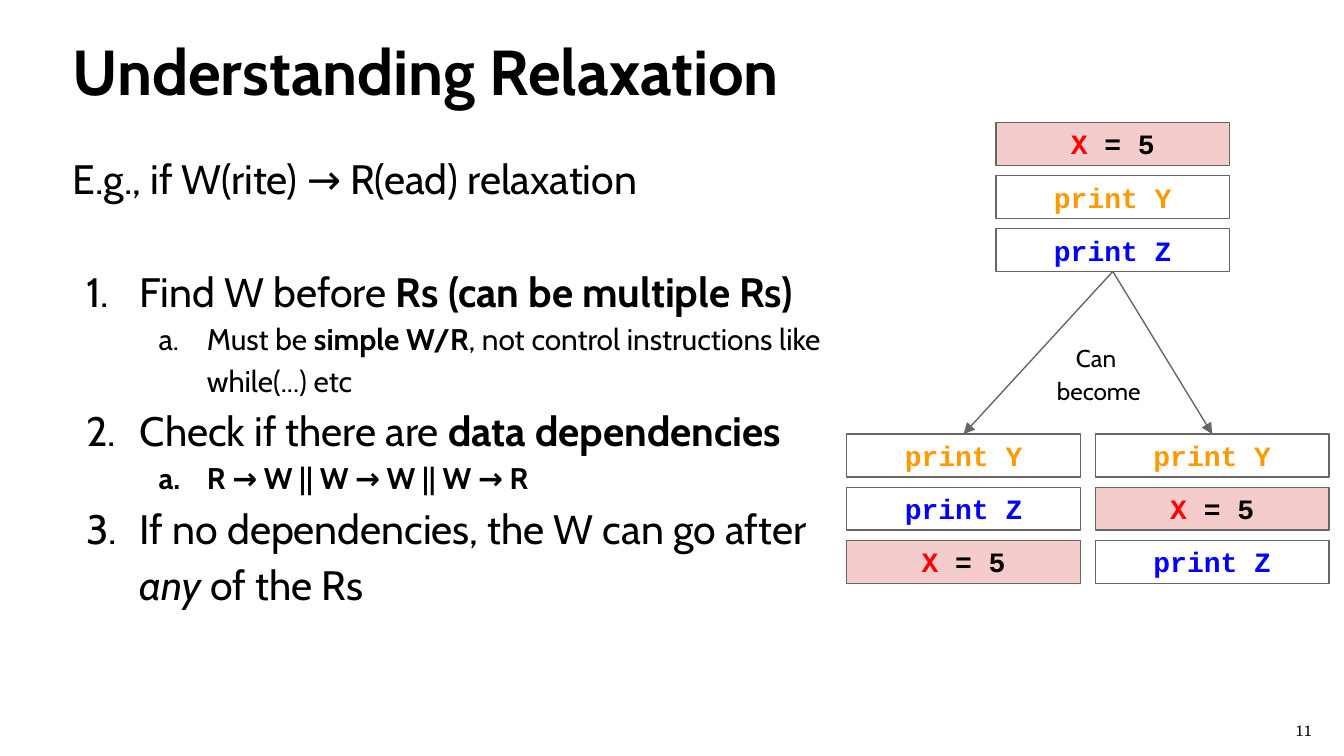
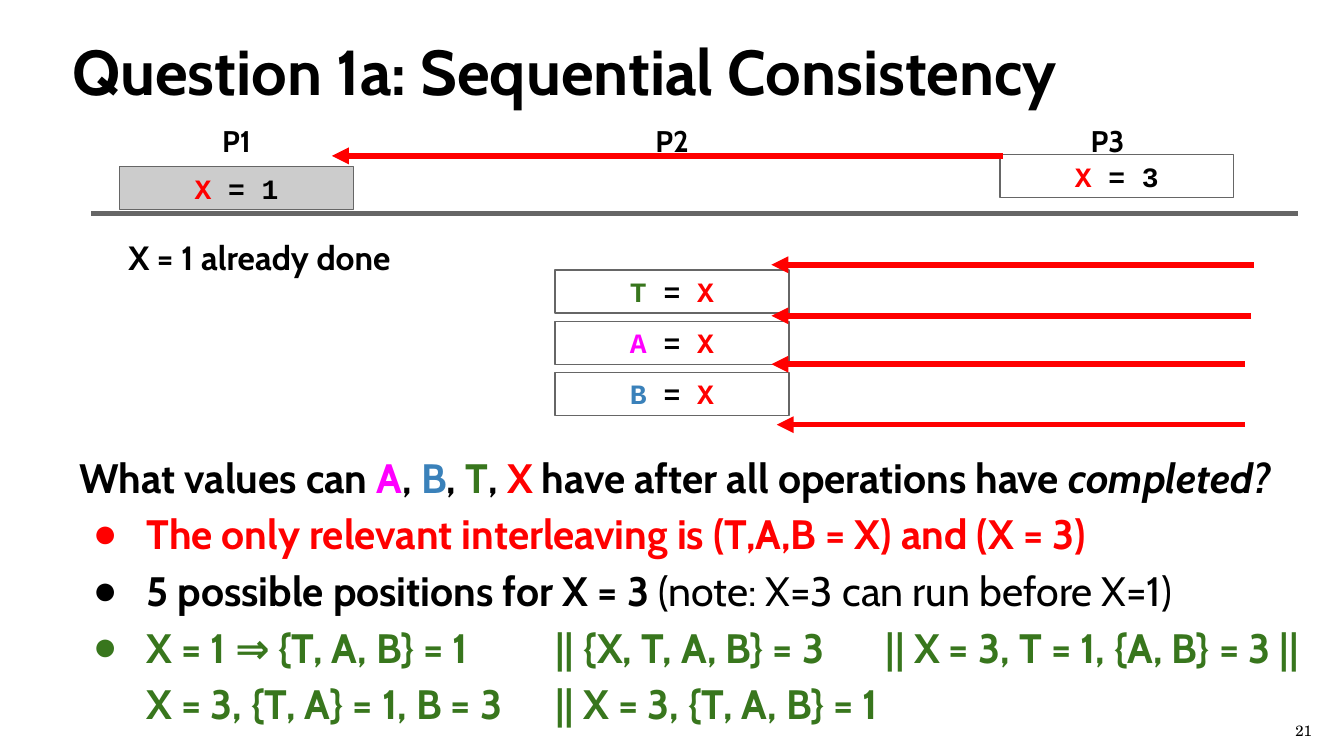
from lxml import etree
from pptx import Presentation
from pptx.dml.color import RGBColor
from pptx.enum.shapes import MSO_CONNECTOR, MSO_SHAPE
from pptx.enum.text import MSO_ANCHOR, MSO_AUTO_SIZE, PP_ALIGN
from pptx.oxml.ns import qn
from pptx.util import Pt

PX = 9144  # 100 px to the inch
STRAIGHT = MSO_CONNECTOR.STRAIGHT
RECT = MSO_SHAPE.RECTANGLE
CENTER, LEFT = PP_ALIGN.CENTER, PP_ALIGN.LEFT
TOP, MIDDLE = MSO_ANCHOR.TOP, MSO_ANCHOR.MIDDLE
NO_FIT = MSO_AUTO_SIZE.NONE
BODY_FONT, CODE_FONT, NUMBER_FONT = "Cabin", "Courier New", "TeX Gyre Schola"

BLACK, WHITE, GRAY = "000000", "FFFFFF", "666666"
RED, GREEN, MAGENTA, BLUE = "FF0000", "38761D", "FF00FF", "3A81BA"
ORANGE, PURE_BLUE, PINK, SILVER = "FF9900", "0000FF", "F4CCCC", "CCCCCC"
BOX_W, BOX_H = 174, 32
rgb = RGBColor.from_string


def write(p, size, runs, font=BODY_FONT):
    """Add runs of (text, colour, style); style may hold b and i, "\\n" breaks the line."""
    for text, color, style in runs:
        if text == "\n":
            p.add_line_break()
            continue
        r = p.add_run()
        r.text = text
        r.font.name, r.font.size = font, Pt(size)
        r.font.color.rgb = rgb(color)
        r.font.bold, r.font.italic = "b" in style, "i" in style


def set_bullet(p, mark, color, left, hang, tabs=()):
    """Indent p by left, hang its bullet; mark is a character, a numbering type or None."""
    pPr = p._p.get_or_add_pPr()
    pPr.set("marL", str(left * PX))
    pPr.set("indent", str(-hang * PX))
    if mark is None:
        etree.SubElement(pPr, qn("a:buNone"))
    else:
        clr = etree.SubElement(pPr, qn("a:buClr"))
        etree.SubElement(clr, qn("a:srgbClr"), val=color)
        if len(mark) == 1:
            etree.SubElement(pPr, qn("a:buChar"), char=mark)
        else:
            etree.SubElement(pPr, qn("a:buAutoNum"), type=mark)
    if tabs:
        stops = etree.SubElement(pPr, qn("a:tabLst"))
        for pos in tabs:
            etree.SubElement(stops, qn("a:tab"), pos=str(pos * PX), algn="l")


prs = Presentation()
prs.slide_width = 1000 * PX
prs.slide_height = prs.slide_width * 9 // 16

# Titles, lists and page numbers. A list item: mark, level, size, space after, runs
NUMBER, LETTER, DOT = "arabicPeriod", "alphaLcPeriod", "●"
relaxation_items = [
    (None, 0, 22, 30, [("E.g., if W(rite) → R(ead) relaxation", BLACK, "")]),
    (NUMBER, 0, 22, 0, [("Find W before ", BLACK, ""),
                        ("Rs (can be multiple Rs)", BLACK, "b")]),
    (LETTER, 1, 16, 0, [("Must be ", BLACK, ""), ("simple W/R", BLACK, "b"),
                        (", not control instructions like while(...) etc", BLACK, "")]),
    (NUMBER, 0, 22, 0, [("Check if there are ", BLACK, ""),
                        ("data dependencies", BLACK, "b")]),
    (LETTER, 1, 16, 0, [("R → W || W → W || W → R", BLACK, "b")]),
    (NUMBER, 0, 22, 0, [("If no dependencies, the W can go after ", BLACK, ""),
                        ("any", BLACK, "i"), (" of the Rs", BLACK, "")]),
]
question_items = [
    (None, 0, 22, 0, [("What values can ", BLACK, "b"), ("A", MAGENTA, "b"),
                      (", ", BLACK, "b"), ("B", BLUE, "b"), (", ", BLACK, "b"),
                      ("T", GREEN, "b"), (", ", BLACK, "b"), ("X", RED, "b"),
                      (" have after all operations have ", BLACK, "b"),
                      ("completed?", BLACK, "bi")]),
    (DOT, 0, 22, 0, [("The only relevant interleaving is (T,A,B = X) and (X = 3)", RED, "b")]),
    (DOT, 0, 22, 0, [("5 possible positions for X = 3 ", BLACK, "b"),
                     ("(note: X=3 can run before X=1)", BLACK, "")]),
    (DOT, 0, 22, 0, [("X = 1 ⇒ {T, A, B} = 1\t|| {X, T, A, B} = 3\t"
                      "|| X = 3, T = 1, {A, B} = 3 ||", GREEN, "b"),
                     ("\n", GREEN, "b"),
                     ("X = 3, {T, A} = 1, B = 3\t|| X = 3, {T, A, B} = 1", GREEN, "b")]),
]
slides = []
for title, number, (x, y, w, h), items in [
    ("Understanding Relaxation", "11", (44, 99, 597, 377), relaxation_items),
    ("Question 1a: Sequential Consistency", "21", (49, 321, 951, 233), question_items),
]:
    s = prs.slides.add_slide(prs.slide_layouts[1])
    slides.append(s)
    heading, body = s.shapes.title, s.placeholders[1]
    page = s.shapes.add_textbox(940 * PX, 528 * PX, 60 * PX, 31 * PX)
    heading.left, heading.top, heading.width, heading.height = 44 * PX, 14 * PX, 822 * PX, 70 * PX
    body.left, body.top, body.width, body.height = x * PX, y * PX, w * PX, h * PX
    for sp, anchor in [(heading, TOP), (body, TOP), (page, MIDDLE)]:
        tf = sp.text_frame
        tf.word_wrap, tf.auto_size, tf.vertical_anchor = True, NO_FIT, anchor
        tf.margin_left = tf.margin_right = tf.margin_top = tf.margin_bottom = 10 * PX

    p = heading.text_frame.paragraphs[0]
    p.alignment = LEFT
    write(p, 34, [(title, BLACK, "b")])
    p = page.text_frame.paragraphs[0]
    p.alignment = CENTER
    write(p, 8, [(number, BLACK, "")], NUMBER_FONT)

    tf = body.text_frame
    for i, (mark, level, size, after, runs) in enumerate(items):
        p = tf.add_paragraph() if i else tf.paragraphs[0]
        p.level, p.line_spacing = level, 1.15
        p.space_before, p.space_after = Pt(0), Pt(after)
        left, hang = (0, 0) if mark is None else [(50, 40), (100, 36)][level]
        tabs = (354, 600) if "\t" in runs[0][0] else ()
        set_bullet(p, mark, runs[0][1], left, hang, tabs)
        write(p, size, runs)

relaxation, question = slides

# Instruction boxes
x_5 = (PINK, [("X", RED, "b"), (" = 5", BLACK, "b")])
print_y = (WHITE, [("print Y", ORANGE, "b")])
print_z = (WHITE, [("print Z", PURE_BLUE, "b")])
x_1 = (SILVER, [("X", RED, "b"), (" = 1", BLACK, "b")])
x_3 = (WHITE, [("X", RED, "b"), (" = 3", BLACK, "b")])
reads = [(WHITE, [(name, color, "b"), (" = ", BLACK, "b"), ("X", RED, "b")])
         for name, color in [("T", GREEN), ("A", MAGENTA), ("B", BLUE)]]

stacks = []
for s, x, y, pitch, instructions in [
    (relaxation, 741, 91, 39.5, [x_5, print_y, print_z]),
    (relaxation, 630, 323, 39.5, [print_y, print_z, x_5]),
    (relaxation, 815, 323, 39.5, [print_y, x_5, print_z]),
    (question, 89, 124, 0, [x_1]),
    (question, 413, 201, 38, reads),
    (question, 744, 115, 0, [x_3]),
]:
    stack = []
    for i, (fill, runs) in enumerate(instructions):
        sp = s.shapes.add_shape(RECT, x * PX, round((y + i * pitch) * PX), BOX_W * PX, BOX_H * PX)
        sp.shadow.inherit = False
        sp.fill.solid()
        sp.fill.fore_color.rgb = rgb(fill)
        sp.line.color.rgb, sp.line.width = rgb(GRAY), Pt(0.75)
        tf = sp.text_frame
        tf.vertical_anchor = MIDDLE
        p = tf.paragraphs[0]
        p.alignment = CENTER
        write(p, 15, runs, CODE_FONT)
        stack.append(sp)
    stacks.append(stack)
program, *outcomes = stacks[:3]

# Labels
for s, x, y, w, h, size, style, lines in [
    (relaxation, 760, 242, 111, 67, 13, "", ["Can", " become"]),
    (question, 135, 77, 82, 47, 16, "b", ["P1"]),
    (question, 459, 77, 82, 47, 16, "b", ["P2"]),
    (question, 783, 77, 82, 47, 16, "b", ["P3"]),
    (question, 29, 162, 328, 50, 18, "b", ["X = 1 already done"]),
]:
    tf = s.shapes.add_textbox(x * PX, y * PX, w * PX, h * PX).text_frame
    tf.word_wrap = True
    tf.margin_left = tf.margin_right = tf.margin_top = tf.margin_bottom = 10 * PX
    for i, text in enumerate(lines):
        p = tf.add_paragraph() if i else tf.paragraphs[0]
        p.alignment, p.line_spacing = CENTER, 1.15
        write(p, size, [(text, BLACK, style)])

# Lines: the split into two outcomes, the divider, the possible positions of X = 3
lines = []
for outcome in outcomes:
    c = relaxation.shapes.add_connector(STRAIGHT, 0, 0, 0, 0)
    c.begin_connect(program[-1], 2)
    c.end_connect(outcome[0], 0)
    lines.append((c, GRAY, 0.75, True))
for x1, x2, y, color, arrow in [
    (68, 966, 159, GRAY, False),
    (933, 574, 197, RED, True),
    (931, 574, 235, RED, True),
    (926, 574, 271, RED, True),
    (926, 578, 316, RED, True),
    (746, 247, 116, RED, True),
]:
    c = question.shapes.add_connector(STRAIGHT, x1 * PX, y * PX, x2 * PX, y * PX)
    lines.append((c, color, 3, arrow))
for c, color, width, arrow in lines:
    c.line.color.rgb, c.line.width = rgb(color), Pt(width)
    if arrow:
        etree.SubElement(c.line._get_or_add_ln(), qn("a:tailEnd"), type="triangle")
    etree.SubElement(c._element.spPr, qn("a:effectLst"))

prs.save("out.pptx")
